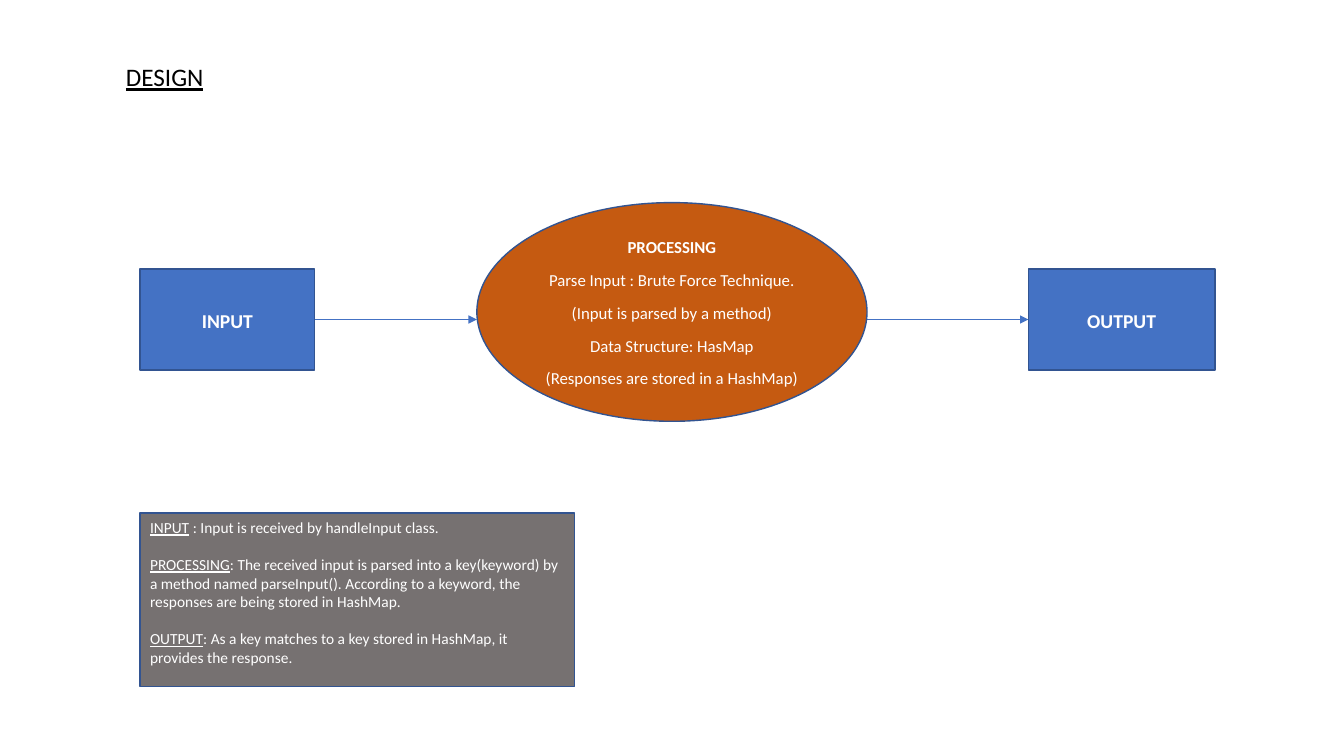
"""Build a design slide that shows input, processing and output."""
from typing import NamedTuple

from lxml import etree
from pptx import Presentation
from pptx.dml.color import RGBColor
from pptx.enum.shapes import MSO_CONNECTOR, MSO_SHAPE
from pptx.enum.text import MSO_ANCHOR, MSO_AUTO_SIZE, PP_ALIGN
from pptx.oxml.ns import qn
from pptx.shapes.autoshape import Shape
from pptx.shapes.connector import Connector
from pptx.slide import Slide
from pptx.util import Inches, Pt

RECT, OVAL = MSO_SHAPE.RECTANGLE, MSO_SHAPE.OVAL
LINE = MSO_CONNECTOR.STRAIGHT
TOP, MID = MSO_ANCHOR.TOP, MSO_ANCHOR.MIDDLE
LEFT, MIDST = PP_ALIGN.LEFT, PP_ALIGN.CENTER
GROW = MSO_AUTO_SIZE.SHAPE_TO_FIT_TEXT
WIDE, HIGH = Inches(13.33), Inches(7.5)
COLORS = {"blue": "4472C4", "edge": "325491", "rust": "C55A11",
          "gray": "767171", "white": "FFFFFF", "black": "000000"}


class Area(NamedTuple):
    """A place on the slide, in percent of its width and height."""
    left: float
    top: float
    wide: float
    high: float


class Part(NamedTuple):
    """A run of text with its emphasis."""
    words: str
    bold: bool = False
    under: bool = False


class Node(NamedTuple):
    """A filled shape with its paragraphs and their format."""
    kind: MSO_SHAPE
    area: Area
    fill: str
    paras: list[list[Part]]
    style: dict


FLOW = {"align": MIDST, "lead": 1.07, "after": 8}
ROW, DEEP = 35.6, 13.33
AXIS = ROW + DEEP / 2

INPUT = Node(RECT, Area(10.43, ROW, 12.98, DEEP), "blue",
             [[Part("INPUT", bold=True)]], {"size": 14, **FLOW})
OUTPUT = Node(RECT, Area(76.52, ROW, 13.88, DEEP), "blue",
              [[Part("OUTPUT", bold=True)]], {"size": 14, **FLOW})
NOTES = Node(RECT, Area(10.43, 67.87, 32.33, 22.93), "gray", [
    [Part("INPUT", under=True),
     Part(" : Input is received by handleInput class.")],
    [Part("PROCESSING", under=True),
     Part(": The received input is parsed into a key(keyword) by a method "
          "named parseInput(). According to a keyword, the responses are "
          "being stored in HashMap.")],
    [Part("OUTPUT", under=True),
     Part(": As a key matches to a key stored in HashMap, it provides "
          "the response.")],
], {"size": 11, "after": 13.4, "anchor": TOP})
PROCESS = Node(OVAL, Area(35.48, 26.8, 29.03, 28.93), "rust", [
    [Part("PROCESSING", bold=True)],
    [Part("Parse Input : Brute Force Technique.")],
    [Part("(Input is parsed by a method)")],
    [Part("Data Structure: HasMap")],
    [Part("(Responses are stored in a HashMap)")],
], {"size": 12, **FLOW})


def across(share: float) -> int:
    """Turn a percentage of the width into a length."""
    return round(WIDE * share / 100)


def down(share: float) -> int:
    """Turn a percentage of the height into a length."""
    return round(HIGH * share / 100)


def place(area: Area) -> tuple[int, int, int, int]:
    """Turn an area into lengths."""
    return (across(area.left), down(area.top),
            across(area.wide), down(area.high))


def color(name: str) -> RGBColor:
    """Look up a colour."""
    return RGBColor.from_string(COLORS[name])


def write(shape: Shape, paras: list[list[Part]], *, size: float,
          ink: str = "white", align: PP_ALIGN = LEFT, lead: float = 1.0,
          after: float = 0, anchor: MSO_ANCHOR = MID) -> None:
    """Fill a shape with formatted paragraphs."""
    frame = shape.text_frame
    frame.word_wrap = True
    frame.vertical_anchor = anchor
    for rank, parts in enumerate(paras):
        para = frame.add_paragraph() if rank else frame.paragraphs[0]
        para.alignment = align
        para.line_spacing = lead
        para.space_after = Pt(after)
        for part in parts:
            run = para.add_run()
            run.text = part.words
            font = run.font
            font.name, font.size = "Calibri", Pt(size)
            font.bold, font.underline = part.bold, part.under
            font.color.rgb = color(ink)


def draw(slide: Slide, node: Node) -> Shape:
    """Draw a node with its text."""
    shape = slide.shapes.add_shape(node.kind, *place(node.area))
    shape.shadow.inherit = False
    shape.fill.solid()
    shape.fill.fore_color.rgb = color(node.fill)
    shape.line.color.rgb = color("edge")
    shape.line.width = Pt(1)
    write(shape, node.paras, **node.style)
    return shape


def arrow(slide: Slide, start: float, end: float) -> Connector:
    """Draw an arrow along the axis of the flow."""
    link = slide.shapes.add_connector(
        LINE, across(start), down(AXIS), across(end), down(AXIS))
    link.line.color.rgb = color("blue")
    link.line.width = Pt(0.5)
    tip = etree.SubElement(link.line._get_or_add_ln(), qn("a:tailEnd"))
    tip.set("type", "triangle")
    etree.SubElement(link._element.spPr, qn("a:effectLst"))
    return link


def main() -> None:
    """Build and save the deck."""
    deck = Presentation()
    deck.slide_width, deck.slide_height = WIDE, HIGH
    slide = deck.slides.add_slide(deck.slide_layouts[6])
    source, sink = draw(slide, INPUT), draw(slide, OUTPUT)
    title = slide.shapes.add_textbox(*place(Area(8.63, 7.47, 19.5, 5.33)))
    write(title, [[Part("DESIGN", under=True)]], size=18, ink="black",
          anchor=TOP)
    title.text_frame.auto_size = GROW
    entry = arrow(slide, INPUT.area.left + INPUT.area.wide, PROCESS.area.left)
    entry.begin_connect(source, 3)
    leave = arrow(slide, 61.89, OUTPUT.area.left)
    leave.end_connect(sink, 1)
    draw(slide, NOTES)
    draw(slide, PROCESS)
    deck.save("out.pptx")


if __name__ == "__main__":
    main()
